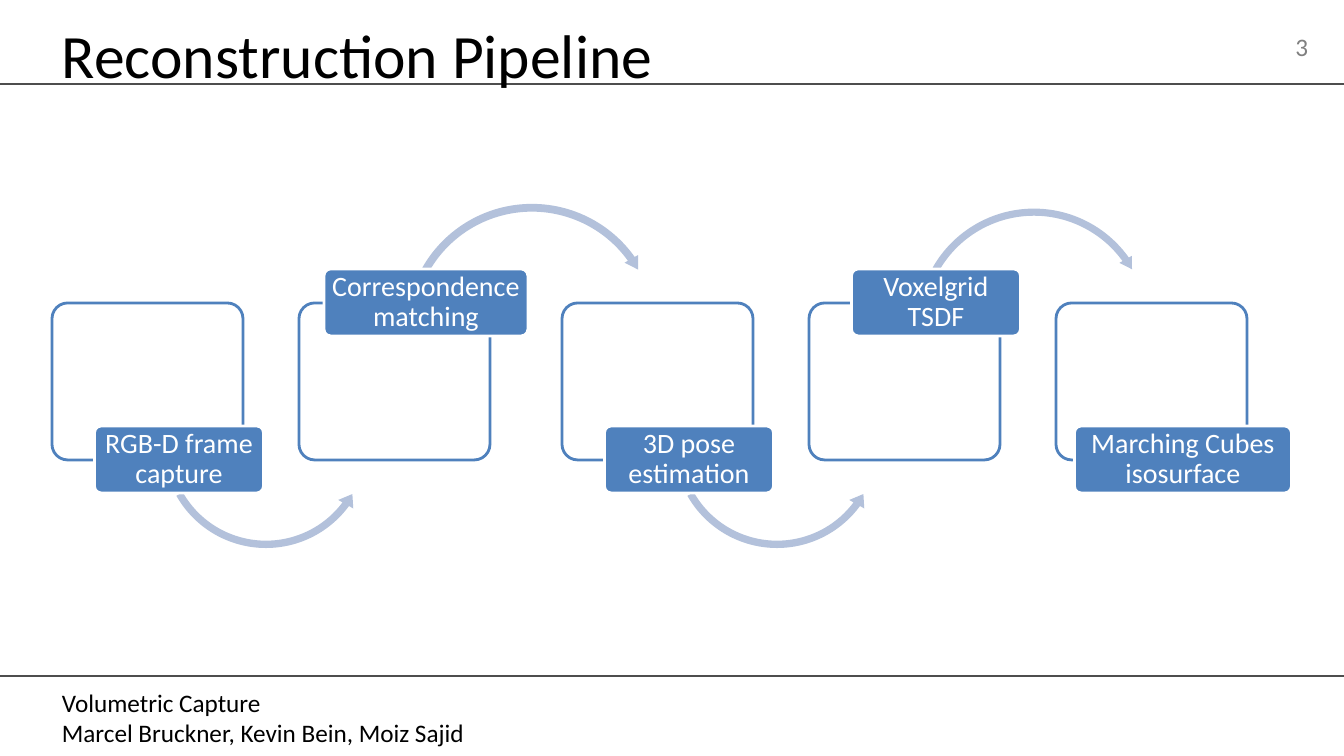
from lxml import etree
from pptx import Presentation
from pptx import util as u
from pptx.dml.color import RGBColor
from pptx.enum import shapes, text
from pptx.oxml import ns

SLIDE_WIDTH, SLIDE_HEIGHT = 1344, 756
EMU_PER_PX = 914400 / 100.8

FONT = "Calibri"
BLACK = RGBColor(0x00, 0x00, 0x00)
WHITE = RGBColor(0xFF, 0xFF, 0xFF)
GRAY = RGBColor(0x80, 0x80, 0x80)
RULE_GRAY = RGBColor(0x4D, 0x4D, 0x4D)
BLUE = RGBColor(0x4F, 0x81, 0xBD)
PALE_BLUE = RGBColor(0xB3, 0xC1, 0xDB)

FRAME_TOP, FRAME_WIDTH, FRAME_HEIGHT = 303, 191, 157
LABEL_HEIGHT, LABEL_CENTER = 67, 127  # center is measured from the frame's left
LOW_LABEL_TOP, HIGH_LABEL_TOP = 426, 269

# Label, frame left, label width, arrow to the next step (left, top, size)
STEPS = [
    ("RGB-D frame capture", 52, 169, (158, 337, 216)),
    ("Correspondence matching", 299, 204, (402, 200, 260)),
    ("3D pose estimation", 562, 169, (669, 337, 216)),
    ("Voxelgrid TSDF", 809, 169, (914, 205, 240)),
    ("Marching Cubes isosurface", 1056, 217, None),
]
LOW_ARROW = (0.034, 4.2, 21.95, 90.25, 0.04)
HIGH_ARROW = (0.03, 3.6, 194.65, 125.76, 0.03)


def px(length):
    return u.Emu(round(length * EMU_PER_PX))


def write(text_frame, content, size, color, align=text.PP_ALIGN.LEFT):
    text_frame.word_wrap = True
    text_frame.text = content
    for paragraph in text_frame.paragraphs:
        paragraph.alignment = align
        for run in paragraph.runs:
            run.font.name = FONT
            run.font.size = u.Pt(size)
            run.font.color.rgb = color


def add_text(slide, box, content, size, color, **options):
    shape = slide.shapes.add_textbox(*map(px, box))
    write(shape.text_frame, content, size, color, **options)
    return shape


def add_rule(slide, y):
    line = slide.shapes.add_connector(
        shapes.MSO_CONNECTOR.STRAIGHT, 0, px(y), px(SLIDE_WIDTH), px(y))
    line.line.color.rgb = RULE_GRAY
    line.line.width = u.Pt(1.5)
    etree.SubElement(line._element.spPr, ns.qn("a:effectLst"))


def add_shape(slide, kind, box, fill, line=None, adjustments=()):
    shape = slide.shapes.add_shape(kind, *map(px, box))
    shape.shadow.inherit = False
    shape.fill.solid()
    shape.fill.fore_color.rgb = fill
    if line is None:
        shape.line.fill.background()
    else:
        shape.line.color.rgb = line
        shape.line.width = u.Pt(2)
    for index, value in enumerate(adjustments):
        shape.adjustments[index] = value
    return shape


def add_frame(slide, left):
    frame = add_shape(slide, shapes.MSO_SHAPE.ROUNDED_RECTANGLE,
                      (left, FRAME_TOP, FRAME_WIDTH, FRAME_HEIGHT),
                      WHITE, BLUE, (0.1,))
    color = frame._element.spPr.find(".//" + ns.qn("a:srgbClr"))
    etree.SubElement(color, ns.qn("a:alpha"), val="90000")


def add_label(slide, box, content):
    label = add_shape(slide, shapes.MSO_SHAPE.ROUNDED_RECTANGLE, box,
                      BLUE, WHITE, (0.1,))
    frame = label.text_frame
    frame.margin_left = frame.margin_right = px(4)
    frame.margin_top = frame.margin_bottom = px(3)
    frame.vertical_anchor = text.MSO_ANCHOR.MIDDLE
    write(frame, content, 20, WHITE, align=text.PP_ALIGN.CENTER)
    frame.paragraphs[0].line_spacing = 0.9


def add_step(slide, content, left, width, arrow, is_high):
    add_frame(slide, left)
    if arrow:
        arrow_left, arrow_top, size = arrow
        kind = (shapes.MSO_SHAPE.CIRCULAR_ARROW if is_high
                else shapes.MSO_SHAPE.LEFT_CIRCULAR_ARROW)
        add_shape(slide, kind, (arrow_left, arrow_top, size, size), PALE_BLUE,
                  adjustments=HIGH_ARROW if is_high else LOW_ARROW)
    top = HIGH_LABEL_TOP if is_high else LOW_LABEL_TOP
    add_label(slide, (left + LABEL_CENTER - width / 2, top, width, LABEL_HEIGHT),
              content)


def main():
    presentation = Presentation()
    presentation.slide_width = px(SLIDE_WIDTH)
    presentation.slide_height = px(SLIDE_HEIGHT)
    slide = presentation.slides.add_slide(presentation.slide_layouts[6])

    # Footer
    add_rule(slide, 676)
    add_text(slide, (52, 682, 950, 72),
             "Volumetric Capture\nMarcel Bruckner, Kevin Bein, Moiz Sajid",
             18, BLACK)

    # Header
    add_rule(slide, 84)
    add_text(slide, (1250, 26, 68, 40), "3", 18, GRAY, align=text.PP_ALIGN.RIGHT)
    title = add_text(slide, (52, 0, 1219, 96), "Reconstruction Pipeline", 44, BLACK)
    title.text_frame.vertical_anchor = text.MSO_ANCHOR.BOTTOM

    # Pipeline: labels alternate between low and high
    for index, step in enumerate(STEPS):
        add_step(slide, *step, is_high=index % 2 == 1)

    presentation.save("out.pptx")


if __name__ == "__main__":
    main()
